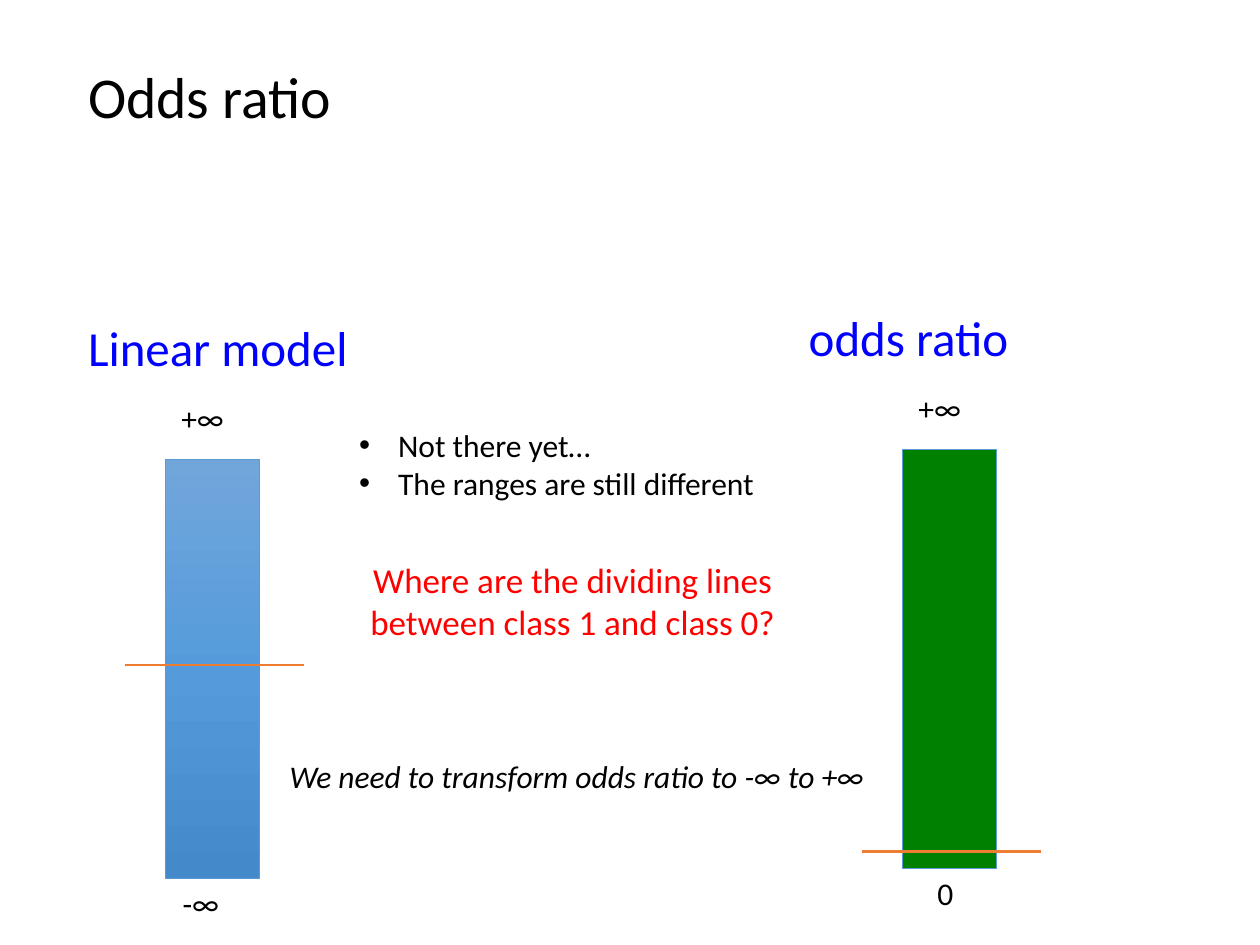
from copy import deepcopy

from pptx import Presentation
from pptx.dml.color import RGBColor
from pptx.enum.shapes import MSO_CONNECTOR as Connector, MSO_SHAPE as Shape
from pptx.enum.text import MSO_ANCHOR as Anchor, MSO_AUTO_SIZE as AutoSize, PP_ALIGN as Align
from pptx.oxml.ns import qn
from pptx.oxml.xmlchemy import OxmlElement
from pptx.util import Inches, Pt

COLUMNS, ROWS = 100, 75
WIDTH, HEIGHT = Inches(10), Inches(7.5)
BLACK, BLUE, RED, GREEN = "000000", "0000FF", "FF0000", "008000"
OUTLINE, DIVIDER = "5B9BD5", "ED7D31"
GRADIENT = ["71A6DB", "559BDB", "448ACA"]


def color(value):
    return RGBColor.from_string(value)


def grid(left, top, width, height):
    column, row = WIDTH / COLUMNS, HEIGHT / ROWS
    return [round(n) for n in (left * column, top * row, width * column, height * row)]


def place(shape, box):
    shape.left, shape.top, shape.width, shape.height = grid(*box)


def add_bullet(paragraph, indent):
    properties = paragraph._p.get_or_add_pPr()
    properties.set("marL", str(indent))
    properties.set("indent", str(-indent))
    bullet_font = OxmlElement("a:buFont")
    bullet_font.set("typeface", "Arial")
    bullet = OxmlElement("a:buChar")
    bullet.set("char", "•")
    properties.extend([bullet_font, bullet])


def write(shape, text, size=18, fill=BLACK, italic=False, align=Align.LEFT,
          anchor=Anchor.TOP, spacing=1.0, bullets=False):
    frame = shape.text_frame
    frame.text = text
    frame.word_wrap = True
    frame.auto_size = AutoSize.NONE
    frame.vertical_anchor = anchor
    for paragraph in frame.paragraphs:
        if bullets:
            add_bullet(paragraph, Inches(0.31))
        paragraph.alignment = align
        paragraph.line_spacing = spacing
        paragraph.space_before = paragraph.space_after = Pt(0)
        for run in paragraph.runs:
            font = run.font
            font.name, font.size, font.italic = "Calibri", Pt(size), italic
            font.color.rgb = color(fill)


def add_text(slide, box, text, **style):
    write(slide.shapes.add_textbox(*grid(*box)), text, **style)


def fill_gradient(shape, colors):
    shape.fill.gradient()
    shape.fill.gradient_angle = 270
    stops = shape._element.spPr.find(".//" + qn("a:gsLst"))
    stops.insert(1, deepcopy(stops[0]))
    for index, (stop, value) in enumerate(zip(shape.fill.gradient_stops, colors)):
        stop.color.rgb = color(value)
        stop.position = index / (len(colors) - 1)


def add_bar(slide, box, colors):
    bar = slide.shapes.add_shape(Shape.RECTANGLE, *grid(*box))
    bar.shadow.inherit = False
    if len(colors) > 1:
        fill_gradient(bar, colors)
    else:
        bar.fill.solid()
        bar.fill.fore_color.rgb = color(colors[0])
    bar.line.color.rgb = color(OUTLINE)
    bar.line.width = Pt(0.5)


def add_divider(slide, left, top, width):
    x, y, length, _ = grid(left, top, width, 0)
    line = slide.shapes.add_connector(Connector.STRAIGHT, x, y, x + length, y)
    line.line.color.rgb = color(DIVIDER)
    line.line.width = Pt(1.5)
    line._element.spPr.append(OxmlElement("a:effectLst"))


def add_range(slide, box, heading, low, colors, divide, heading_shift, low_shift):
    left, top, width, height = box
    add_text(slide, (left - heading_shift, top - 11.8, 34.1, 5.7), heading, size=28, fill=BLUE)
    add_bar(slide, box, colors)
    add_text(slide, (left + 0.3, top - 5.35, 11.9, 4), "+∞")
    add_text(slide, (left + low_shift, top + height, 11.9, 4), low)
    add_divider(slide, left - 3.2, top + height * divide, 14.2)


def add_discussion(slide, box, body):
    left, top, width, height = box
    place(body, (left + 5.5, top, 34.6, 7.1))
    write(body, "Not there yet…\nThe ranges are still different", bullets=True)
    add_text(slide, (left + 3.5, top + 10.5, 39.9, 7.7),
             "Where are the dividing lines between class 1 and class 0?",
             size=20, fill=RED, align=Align.CENTER)
    add_text(slide, (left, top + height - 4, width, 4),
             "We need to transform odds ratio to -∞ to +∞", italic=True)


def main():
    presentation = Presentation()
    presentation.slide_width, presentation.slide_height = WIDTH, HEIGHT
    slide = presentation.slides.add_slide(presentation.slide_layouts[1])
    title, body = slide.placeholders
    place(title, (6, 2.5, 89.2, 10.8))
    write(title, "Odds ratio", size=33, anchor=Anchor.MIDDLE, spacing=0.9)
    add_range(slide, (13.1, 36.5, 7.5, 33.2), "Linear model", "-∞", GRADIENT,
              divide=0.49, heading_shift=7.1, low_shift=0.4)
    add_range(slide, (71.6, 35.7, 7.5, 33.2), "odds ratio", "0", [GREEN],
              divide=0.96, heading_shift=8.4, low_shift=1.8)
    add_discussion(slide, (22, 33.3, 48.3, 30.3), body)
    presentation.save("out.pptx")


if __name__ == "__main__":
    main()
